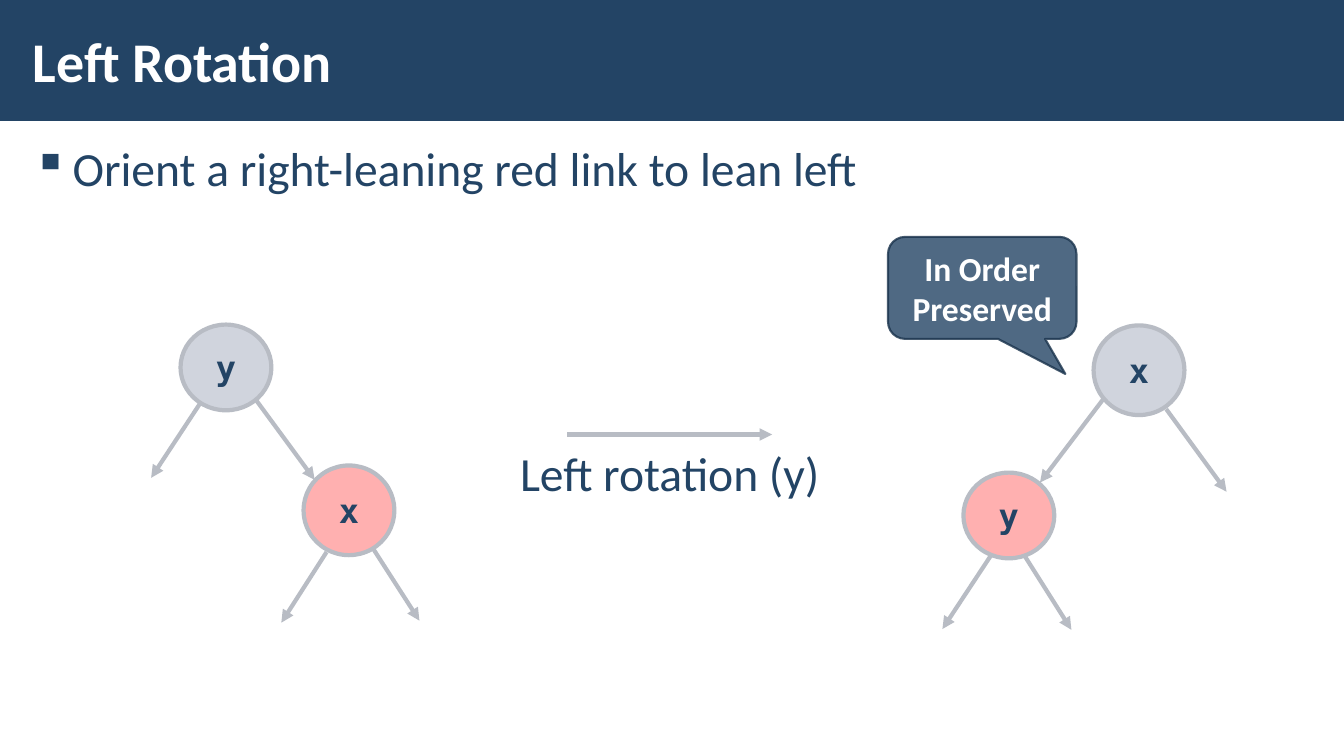
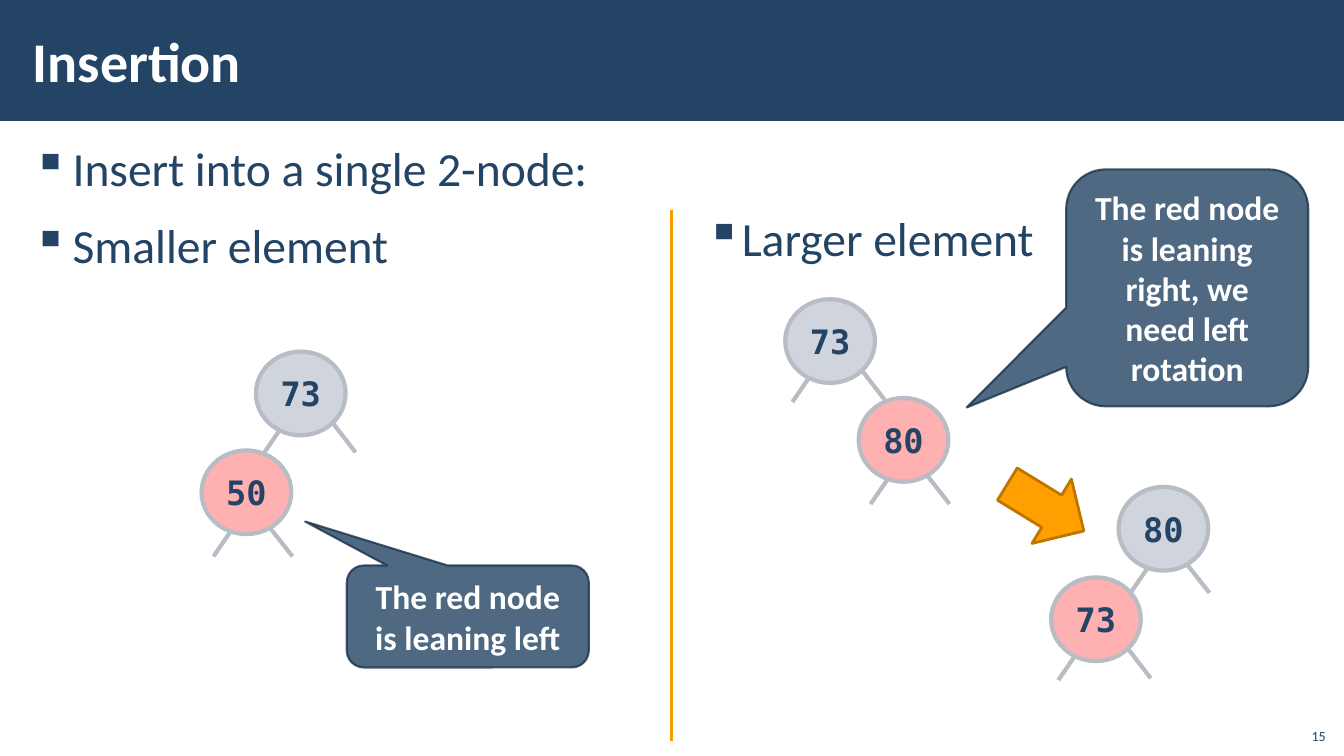
"""Build two slides on red-black tree rotation and insertion."""
from dataclasses import dataclass
from typing import Any

from lxml import etree
from pptx import Presentation
from pptx.dml.color import RGBColor
from pptx.enum.shapes import MSO_CONNECTOR, MSO_SHAPE
from pptx.enum.text import MSO_ANCHOR, MSO_AUTO_SIZE, PP_ALIGN
from pptx.oxml.ns import qn
from pptx.slide import Slide, SlideLayout
from pptx.util import Cm, Pt

LEFT, MID, RIGHT = PP_ALIGN.LEFT, PP_ALIGN.CENTER, PP_ALIGN.RIGHT
TOP, CENTRE, BASE = MSO_ANCHOR.TOP, MSO_ANCHOR.MIDDLE, MSO_ANCHOR.BOTTOM
FIXED = MSO_AUTO_SIZE.NONE
STRAIGHT = MSO_CONNECTOR.STRAIGHT
RECT, OVAL, ARROW = MSO_SHAPE.RECTANGLE, MSO_SHAPE.OVAL, MSO_SHAPE.RIGHT_ARROW
BUBBLE = MSO_SHAPE.ROUNDED_RECTANGULAR_CALLOUT

NAVY, DARK, WHITE = "234465", "1A334C", "FFFFFF"
GREY, STEEL, PINK = "B8BCC4", "A3ABBC", "FFB0B0"
AMBER, GOLD, BROWN = "F99C00", "FFA000", "BD7600"
SANS, MONO = "Calibri", "DejaVu Sans Mono"

WIDE, HIGH = 33.87, 19.05
Box = tuple[float, float, float, float]
SLIM = dict(margin_left=Cm(0.3), margin_right=Cm(0.3),
            margin_top=Cm(0.1), margin_bottom=Cm(0.1))
LOOSE = dict(line_spacing=1.05, space_before=Pt(6), space_after=Pt(6))
TIGHT = LOOSE | dict(line_spacing=0.95, alignment=MID)


@dataclass(frozen=True)
class Type:
    """Font of a text."""
    size: float
    hue: str = NAVY
    bold: bool = False
    face: str = SANS


HEAD = Type(40, WHITE, True)
BODY = Type(34)
LABEL = Type(24, NAVY, True, MONO)
SPEECH = Type(24, WHITE, True)
SMALL = Type(10)


@dataclass(frozen=True)
class Node:
    """Tree node; its legs are measured from its top left corner."""
    text: str
    left: float
    top: float
    legs: tuple[Box, Box]
    red: bool = False
    wide: float = 2.26
    high: float = 2.11


@dataclass(frozen=True)
class Note:
    """Speech bubble with the place of its tip."""
    text: str
    box: Box
    tip: tuple[float, float]


NEAR = ((0.74, 2.03, 0.3, 2.67), (1.73, 1.96, 2.29, 2.67))
FAR = ((0.61, 1.96, 0.18, 2.59), (1.96, 1.83, 2.51, 2.54))

TURN = (
    Node("x", 27.56, 8.2, ((0.25, 1.85, -1.35, 3.96),
                           (1.83, 2.11, 3.35, 4.19)), False, 2.29, 2.26),
    Node("y", 24.28, 11.91, ((0.71, 2.06, -0.53, 3.94),
                             (1.55, 2.11, 2.72, 3.96)), True, 2.29, 2.16),
    Node("x", 7.65, 11.73, ((0.58, 2.18, -0.56, 3.96),
                            (1.73, 2.06, 2.92, 3.91)), True, 2.29, 2.26),
    Node("y", 4.55, 8.18, ((0.51, 1.96, -0.74, 3.86),
                           (1.91, 1.91, 3.38, 3.91)), False, 2.29, 2.16),
)
GROW = (
    Node("50", 5.08, 11.35, NEAR, True),
    Node("73", 6.45, 8.86, FAR),
    Node("80", 21.64, 10.03, NEAR, True),
    Node("73", 19.79, 7.54, FAR),
    Node("80", 28.19, 12.27, NEAR),
    Node("73", 26.49, 14.55, FAR, True),
)
KEPT = Note("In Order Preserved", (22.38, 5.97, 4.75, 2.57), (0.441, 0.844))
LEANS = (
    Note("The red node is leaning left",
         (8.74, 14.25, 6.1, 2.57), (-0.672, -0.931)),
    Note("The red node is leaning right, we need left rotation",
         (26.87, 4.27, 6.1, 5.97), (-0.911, 0.505)),
)


def put(item: Any, form: dict[str, Any]) -> None:
    """Set each format value on the item."""
    for name, val in form.items():
        setattr(item, name, val)


def tint(hue: str) -> RGBColor:
    """Turn a hex string into a colour."""
    return RGBColor.from_string(hue)


def place(box: Box) -> dict[str, Any]:
    """Turn a box in centimetres into place and size."""
    return dict(zip(("left", "top", "width", "height"), map(Cm, box)))


def fade(part: Any, share: int) -> None:
    """Give the first colour under an element an opacity in percent."""
    hue = next(part.iter(qn("a:srgbClr")))
    etree.SubElement(hue, qn("a:alpha"), val=str(share * 1000))


def write(item: Any, lines: list[str], font: Type, frame: dict[str, Any],
          para: dict[str, Any], dent: float = 0) -> None:
    """Fill a shape with paragraphs, with bullets if there is an indent."""
    text = item.text_frame
    text.text = "\n".join(lines)
    put(text, dict(word_wrap=True, auto_size=FIXED) | frame)
    for row in text.paragraphs:
        put(row, para)
        put(row.runs[0].font,
            dict(name=font.face, size=Pt(font.size), bold=font.bold))
        row.runs[0].font.color.rgb = tint(font.hue)
        if dent:
            prop = row._p.get_or_add_pPr()
            prop.set("marL", str(Cm(dent)))
            prop.set("indent", str(-Cm(dent)))
            etree.SubElement(prop, qn("a:buChar"), char="▪")


def note(slide: Slide, box: Box, lines: list[str], font: Type,
         frame: dict[str, Any], para: dict[str, Any], dent: float = 0) -> None:
    """Add a text box."""
    item = slide.shapes.add_textbox(*map(Cm, box))
    write(item, lines, font, frame, para, dent)


def shape(slide: Slide, kind: Any, box: Box, fill: str,
          edge: str = "", thick: float = 0) -> Any:
    """Add a flat preset shape."""
    item = slide.shapes.add_shape(kind, *map(Cm, box))
    item.shadow.inherit = False
    item.fill.solid()
    item.fill.fore_color.rgb = tint(fill)
    if edge:
        item.line.color.rgb = tint(edge)
        item.line.width = Pt(thick)
    else:
        item.line.fill.background()
    return item


def link(slide: Slide, ends: Box, hue: str = GREY, thick: float = 3,
         head: bool = False) -> None:
    """Add a straight line, with an arrowhead on request."""
    item = slide.shapes.add_connector(STRAIGHT, *map(Cm, ends))
    item.line.color.rgb = tint(hue)
    item.line.width = Pt(thick)
    prop = item.element.spPr
    if head:
        etree.SubElement(prop.find(qn("a:ln")), qn("a:tailEnd"),
                         type="triangle")
    etree.SubElement(prop, qn("a:effectLst"))


def plant(slide: Slide, node: Node, head: bool = False) -> None:
    """Draw a tree node and its two legs."""
    item = shape(slide, OVAL, (node.left, node.top, node.wide, node.high),
                 PINK if node.red else STEEL, GREY, 3)
    if not node.red:
        fade(item.element.spPr.find(qn("a:solidFill")), 50)
    write(item, [node.text], LABEL,
          dict(word_wrap=False, vertical_anchor=CENTRE), dict(alignment=MID))
    for x, y, end, foot in node.legs:
        link(slide, (node.left + x, node.top + y,
                     node.left + end, node.top + foot), head=head)


def speak(slide: Slide, talk: Note) -> None:
    """Draw a speech bubble."""
    item = shape(slide, BUBBLE, talk.box, NAVY, DARK, 1.5)
    for tag in ("a:solidFill", "a:ln"):
        fade(item.element.spPr.find(qn(tag)), 80)
    for spot, val in enumerate((*talk.tip, 0.167)):
        item.adjustments[spot] = val
    write(item, [talk.text], SPEECH, dict(vertical_anchor=CENTRE),
          dict(alignment=MID))


def start(deck: Any, plan: SlideLayout, title: str, lines: list[str]) -> Slide:
    """Add a slide with its title and bullets."""
    slide = deck.slides.add_slide(plan)
    put(slide.shapes.title, place((0.53, 0.28, 27, 2.46)))
    write(slide.shapes.title, [title], HEAD,
          SLIM | dict(vertical_anchor=CENTRE), dict(alignment=LEFT))
    note(slide, (0.53, 3.33, 32.82, 15.37), lines, BODY, SLIM, LOOSE, 1)
    return slide


def brand(slide: Slide, plan: SlideLayout) -> None:
    """Put the title band on the layout."""
    band = shape(slide, RECT, (0, 0, WIDE, 3.05), NAVY)
    plan.shapes.element.insert(2, band.element)


def rotate(deck: Any, plan: SlideLayout) -> Slide:
    """Build the slide on left rotation."""
    slide = start(deck, plan, "Left Rotation",
                  ["Orient a right-leaning red link to lean left"])
    for node in TURN:
        plant(slide, node, True)
    link(slide, (14.3, 10.95, 19.46, 10.95), head=True)
    note(slide, (10.9, 11.2, 11.96, 1.65), ["Left rotation (y)"],
         BODY, SLIM, TIGHT)
    speak(slide, KEPT)
    return slide


def insert(deck: Any, plan: SlideLayout) -> None:
    """Build the slide on insertion."""
    slide = start(deck, plan, "Insertion",
                  ["Insert into a single 2-node:", "Smaller element"])
    note(slide, (32.64, 18.08, 1.02, 0.81), ["15"], SMALL,
         dict(vertical_anchor=BASE), dict(alignment=RIGHT))
    link(slide, (16.92, 5.28, 16.92, 18.67), AMBER, 2)
    note(slide, (17.5, 5.1, 15.11, 2), ["Larger element"],
         BODY, SLIM | dict(vertical_anchor=TOP), LOOSE, 0.84)
    for node in GROW:
        plant(slide, node)
    for talk in LEANS:
        speak(slide, talk)
    item = shape(slide, ARROW, (25.22, 11.84, 2.26, 1.9), GOLD, BROWN, 2)
    item.rotation = 31.5


def main() -> None:
    """Build and save the deck."""
    deck = Presentation()
    put(deck, dict(slide_width=Cm(WIDE), slide_height=Cm(HIGH)))
    plan = deck.slide_layouts[5]
    brand(rotate(deck, plan), plan)
    insert(deck, plan)
    deck.save("out.pptx")


if __name__ == "__main__":
    main()
